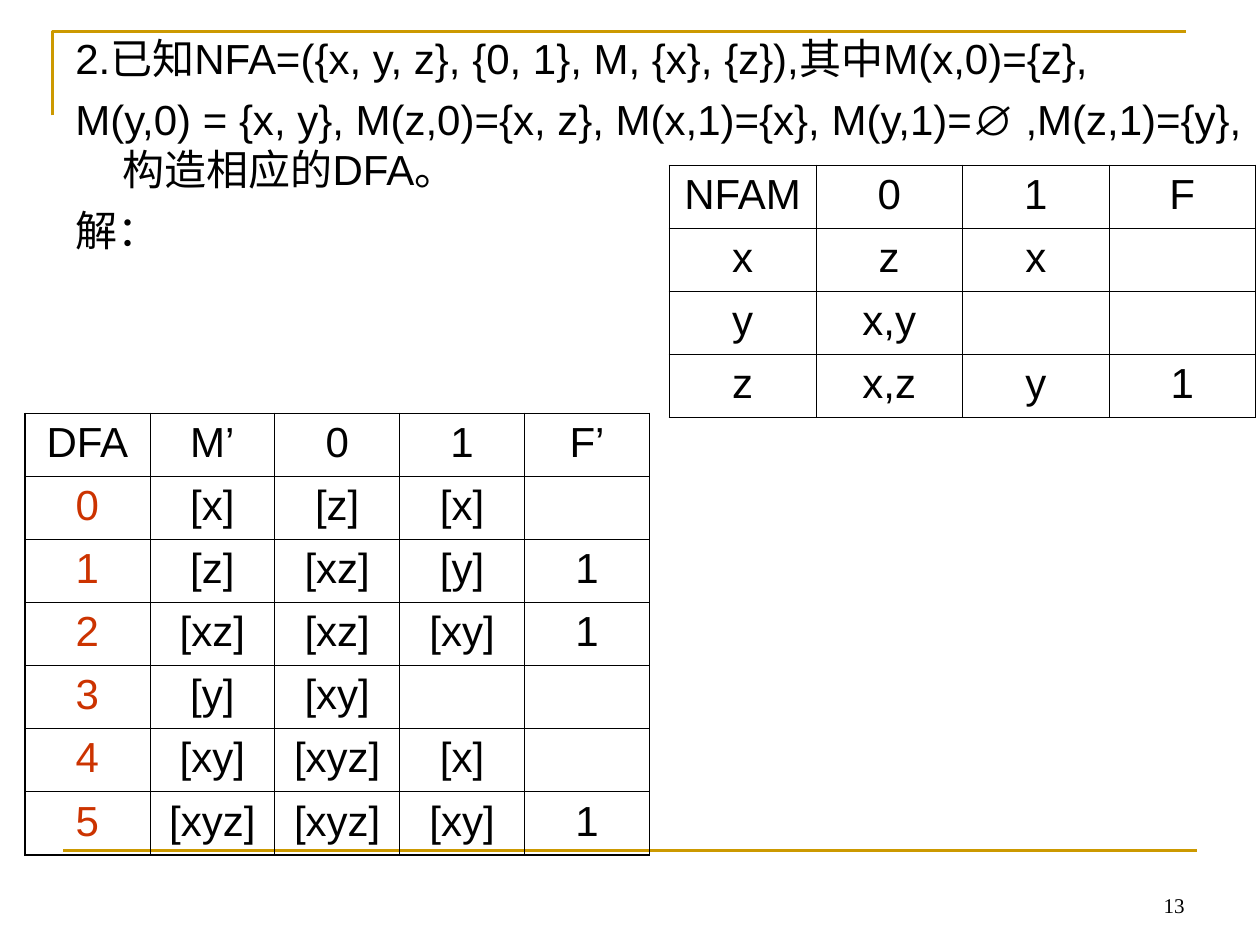
from dataclasses import dataclass
from typing import Any

from lxml import etree
from pptx import Presentation
from pptx.dml.color import RGBColor
from pptx.enum import shapes, text
from pptx.oxml import ns
from pptx.util import Pt

COLORS = {"ink": "000000", "state": "CC3300", "rule": "CC9900"}
RULE_WIDTH = 1.5
OUTER_BORDER, INNER_BORDER = 1.08, 0.45
ROW_HEIGHT = 36


@dataclass(frozen=True)
class TextStyle:
    font: str = "Arial"
    size: float = 24
    color: str = "ink"
    align: Any = text.PP_ALIGN.LEFT
    space_before: float = 6
    hanging: float = 0


@dataclass(frozen=True)
class TextBlock:
    left: float
    top: float
    width: float
    height: float
    lines: tuple[str, ...]
    style: TextStyle
    anchor: Any = text.MSO_ANCHOR.TOP


@dataclass(frozen=True)
class StateTable:
    left: float
    top: float
    width: float
    rows: tuple[tuple[str, ...], ...]
    numbered: bool = False


BODY = TextStyle(hanging=27)
CELL = TextStyle(align=text.PP_ALIGN.CENTER)
STATE_NUMBER = TextStyle(align=text.PP_ALIGN.CENTER, color="state")
PAGE_NUMBER = TextStyle("Times New Roman", 12, align=text.PP_ALIGN.RIGHT, space_before=0)

BLOCKS = (
    TextBlock(516, 492, 168, 36, ("13",), PAGE_NUMBER, text.MSO_ANCHOR.BOTTOM),
    TextBlock(36, 15, 684, 502.5, (
        "2.已知NFA=({x, y, z}, {0, 1}, M, {x}, {z}),其中M(x,0)={z},",
        "M(y,0) = {x, y}, M(z,0)={x, z}, M(x,1)={x}, M(y,1)=∅ ,M(z,1)={y},构造相应的DFA。",
        "解：",
    ), BODY),
)
TABLES = (
    StateTable(382.5, 94.5, 335, (
        ("NFAM", "0", "1", "F"),
        ("x", "z", "x", ""),
        ("y", "x,y", "", ""),
        ("z", "x,z", "y", "1"),
    )),
    StateTable(14.25, 236.25, 357, (
        ("DFA", "M’", "0", "1", "F’"),
        ("0", "[x]", "[z]", "[x]", ""),
        ("1", "[z]", "[xz]", "[y]", "1"),
        ("2", "[xz]", "[xz]", "[xy]", "1"),
        ("3", "[y]", "[xy]", "", ""),
        ("4", "[xy]", "[xyz]", "[x]", ""),
        ("5", "[xyz]", "[xyz]", "[xy]", "1"),
    ), numbered=True),
)


def rgb(name: str) -> RGBColor:
    return RGBColor.from_string(COLORS[name])


def set_attributes(target: Any, values: dict[str, Any]) -> None:
    for name, value in values.items():
        setattr(target, name, value)


def write_paragraph(para: Any, words: str, style: TextStyle) -> None:
    set_attributes(para, {"alignment": style.align, "space_before": Pt(style.space_before)})
    if style.hanging:
        properties = para._p.get_or_add_pPr()
        properties.set("marL", str(Pt(style.hanging)))
        properties.set("indent", str(-Pt(style.hanging)))
    span = para.add_run()
    span.text = words
    set_attributes(span.font, {"name": style.font, "size": Pt(style.size)})
    span.font.color.rgb = rgb(style.color)


def add_text(page: Any, block: TextBlock) -> None:
    box = page.shapes.add_textbox(
        Pt(block.left), Pt(block.top), Pt(block.width), Pt(block.height))
    frame = box.text_frame
    set_attributes(frame, {"word_wrap": True, "vertical_anchor": block.anchor})
    for index, words in enumerate(block.lines):
        para = frame.add_paragraph() if index else frame.paragraphs[0]
        write_paragraph(para, words, block.style)


def set_borders(cell: Any, outer: dict[str, bool]) -> None:
    """Draw each side, heavier where it lies on the edge of the table."""
    properties = cell._tc.get_or_add_tcPr()
    for index, (side, on_edge) in enumerate(outer.items()):
        width = Pt(OUTER_BORDER if on_edge else INNER_BORDER)
        line = etree.Element(ns.qn(f"a:ln{side}"), w=str(width))
        fill = etree.SubElement(line, ns.qn("a:solidFill"))
        etree.SubElement(fill, ns.qn("a:srgbClr"), val=COLORS["ink"])
        properties.insert(index, line)


def add_state_table(page: Any, spec: StateTable) -> None:
    row_count, column_count = len(spec.rows), len(spec.rows[0])
    table = page.shapes.add_table(
        row_count, column_count, Pt(spec.left), Pt(spec.top),
        Pt(spec.width), Pt(ROW_HEIGHT * row_count)).table
    set_attributes(table, {"first_row": False, "horz_banding": False})
    for column in table.columns:
        column.width = Pt(spec.width / column_count)
    for r, row in enumerate(spec.rows):
        table.rows[r].height = Pt(ROW_HEIGHT)
        for c, words in enumerate(row):
            cell = table.cell(r, c)
            cell.fill.background()
            set_borders(cell, {"L": c == 0, "R": c == column_count - 1,
                               "T": r == 0, "B": r == row_count - 1})
            if words:
                is_number = spec.numbered and r > 0 and c == 0
                write_paragraph(cell.text_frame.paragraphs[0], words,
                                STATE_NUMBER if is_number else CELL)


def style_rule(line: Any) -> None:
    line.color.rgb = rgb("rule")
    line.width = Pt(RULE_WIDTH)


def add_rules(page: Any) -> None:
    """Draw the corner bracket at the top and the line at the foot."""
    builder = page.shapes.build_freeform(Pt(30), Pt(66))
    builder.add_line_segments([(Pt(30), Pt(18)), (Pt(678), Pt(18))], close=False)
    bracket = builder.convert_to_shape()
    bracket.shadow.inherit = False
    bracket.fill.background()
    style_rule(bracket.line)

    foot = page.shapes.add_connector(
        shapes.MSO_CONNECTOR.STRAIGHT, Pt(36), Pt(486), Pt(684), Pt(486))
    style_rule(foot.line)
    etree.SubElement(foot._element.spPr, ns.qn("a:effectLst"))


def main() -> None:
    deck = Presentation()
    set_attributes(deck, {"slide_width": Pt(720), "slide_height": Pt(540)})
    page = deck.slides.add_slide(deck.slide_layouts[6])
    add_rules(page)
    for block in BLOCKS:
        add_text(page, block)
    for table in TABLES:
        add_state_table(page, table)
    deck.save("out.pptx")


if __name__ == "__main__":
    main()
